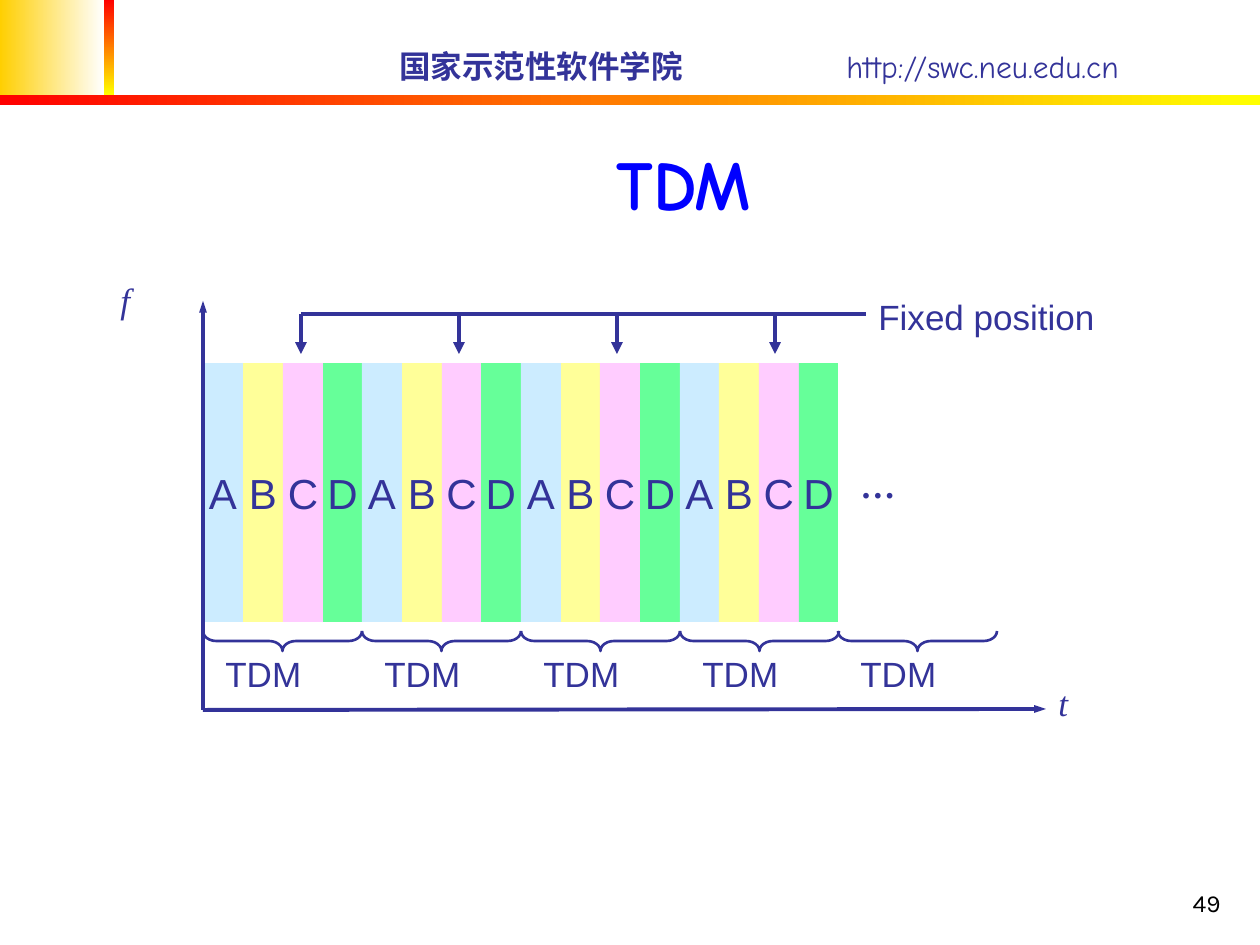
import math

import pptx
import pptx.dml.color
import pptx.enum.shapes
import pptx.enum.text
import pptx.oxml
import pptx.oxml.ns
import pptx.util

SHAPE = pptx.enum.shapes.MSO_SHAPE
ALIGN = pptx.enum.text.PP_ALIGN
ANCHOR = pptx.enum.text.MSO_ANCHOR

INK, TITLE_BLUE = "333399", "0000FF"
RED, YELLOW, GOLD, WHITE = "FF0000", "FFFF00", "FFCF01", "FFFFFF"
CHANNELS = {"A": "CCECFF", "B": "FFFF99", "C": "FFCCFF", "D": "66FF99"}
FRAMES = 4
SLOTS = FRAMES * len(CHANNELS)
GRID_LEFT, GRID_TOP, GRID_WIDTH, GRID_HEIGHT = 203, 363, 635, 259
AXIS_Y = 710


def px(n):
    return pptx.util.Emu(round(n * 914400 / 126))


def rgb(color):
    return pptx.dml.color.RGBColor.from_string(color)


def slot_x(i):
    """Left edge of time slot i."""
    return GRID_LEFT + math.ceil(GRID_WIDTH * i / SLOTS)


class Canvas:
    """The current slide and its drawing style."""

    def __init__(self, slide):
        self.slide = slide
        self.shapes = slide.shapes

    def style(self, p, size, font="Arial", color=INK, bold=False, italic=False):
        p.font.size = pptx.util.Pt(size)
        p.font.name = font
        p.font.bold = bold
        p.font.italic = italic
        p.font.color.rgb = rgb(color)

    def shape(self, kind, x, y, w, h):
        sp = self.shapes.add_shape(kind, px(x), px(y), px(w), px(h))
        sp.shadow.inherit = False
        sp.line.fill.background()
        return sp

    def gradient(self, x, y, w, h, start, end, angle=0):
        fill = self.shape(SHAPE.RECTANGLE, x, y, w, h).fill
        fill.gradient()
        fill.gradient_angle = angle
        for stop, color, position in zip(fill.gradient_stops, (start, end), (0, 1)):
            stop.color.rgb = rgb(color)
            stop.position = position

    def slot(self, x, w, letter):
        sp = self.shape(SHAPE.RECTANGLE, x, GRID_TOP, w, GRID_HEIGHT)
        sp.fill.solid()
        sp.fill.fore_color.rgb = rgb(CHANNELS[letter])
        tf = sp.text_frame
        tf.word_wrap = False
        tf.vertical_anchor = ANCHOR.MIDDLE
        p = tf.paragraphs[0]
        p.text = letter
        p.alignment = ALIGN.CENTER
        self.style(p, 24)

    def brace(self, x, y, w, h):
        """Brace under the given box: a left brace turned so its tip points down."""
        sp = self.shape(SHAPE.LEFT_BRACE, x + (w - h) / 2, y + (h - w) / 2, h, w)
        sp.rotation = 270
        sp.adjustments[0] = 0.67
        sp.fill.background()
        sp.line.color.rgb = rgb(INK)
        sp.line.width = pptx.util.Pt(1.5)

    def line(self, x1, y1, x2, y2, head=None):
        """Straight line; head is the width of its arrowhead (sm, med or lg)."""
        cx = self.shapes.add_connector(
            pptx.enum.shapes.MSO_CONNECTOR.STRAIGHT, px(x1), px(y1), px(x2), px(y2))
        cx.line.color.rgb = rgb(INK)
        cx.line.width = pptx.util.Pt(2.25)
        if head:
            ln = cx.line._get_or_add_ln()
            ln.append(pptx.oxml.parse_xml(
                f'<a:tailEnd {pptx.oxml.ns.nsdecls("a")} type="triangle" w="{head}"/>'))
        cx._element.spPr.append(pptx.oxml.parse_xml(
            f'<a:effectLst {pptx.oxml.ns.nsdecls("a")}/>'))

    def text(self, x, y, w, h, text, size, anchor=ANCHOR.TOP, align=ALIGN.LEFT,
             spacing=None, **style):
        tf = self.shapes.add_textbox(px(x), px(y), px(w), px(h)).text_frame
        tf.word_wrap = True
        tf.vertical_anchor = anchor
        p = tf.paragraphs[0]
        p.text = text
        p.alignment = align
        p.line_spacing = spacing
        self.style(p, size, **style)

    def title(self, x, y, w, h, text):
        sp = self.shapes.title
        sp.left, sp.top, sp.width, sp.height = px(x), px(y), px(w), px(h)
        tf = sp.text_frame
        tf.auto_size = pptx.enum.text.MSO_AUTO_SIZE.NONE
        tf.vertical_anchor = ANCHOR.BOTTOM
        p = tf.paragraphs[0]
        p.text = text
        p.alignment = ALIGN.CENTER
        self.style(p, 40, "Comic Neue", TITLE_BLUE, bold=True)


def draw_header(canvas):
    canvas.gradient(0, 0, 104, 95, GOLD, WHITE)
    canvas.gradient(104, 0, 10, 95, RED, YELLOW, angle=270)
    canvas.gradient(0, 95, 1260, 10, RED, YELLOW)
    canvas.text(387, 41, 400, 50, "国家示范性软件学院", 18, ANCHOR.MIDDLE,
                font="Comic Neue", bold=True)
    canvas.text(834, 41, 397, 50, "http://swc.neu.edu.cn", 18, ANCHOR.MIDDLE,
                font="Comic Neue")
    canvas.text(971, 861, 262, 63, "49", 14, ANCHOR.BOTTOM, ALIGN.RIGHT,
                font="Karla", color="000000")
    canvas.title(147, 135, 1074, 96, "TDM")


def slot_order():
    """Frame and letter of each slot, from back to front."""
    last = FRAMES - 1
    order = [(frame, letter) for frame in range(last) for letter in "BD"]
    for letter, closing in ("AB", "CD"):
        order += [(frame, letter) for frame in range(FRAMES)]
        order.append((last, closing))
    return order


def draw_slots(canvas):
    for frame, letter in slot_order():
        i = frame * len(CHANNELS) + list(CHANNELS).index(letter)
        canvas.slot(slot_x(i), slot_x(i + 1) - slot_x(i), letter)
    canvas.text(848, 457, 62, 54, "…", 20, font="Times New Roman", bold=True)
    for frame in range(FRAMES + 1):
        x = slot_x(frame * len(CHANNELS))
        canvas.text(x + 10, 651, 112, 50, "TDM", 20, spacing=0.9)
        canvas.brace(x, 631, math.ceil(GRID_WIDTH / FRAMES), 20)


def draw_axes(canvas):
    canvas.line(GRID_LEFT, AXIS_Y, 1046, AXIS_Y - 1, head="sm")
    canvas.line(GRID_LEFT, AXIS_Y, GRID_LEFT, 301, head="sm")
    for x, y, name in ((108, 277, "f"), (1046, 680, "t")):
        canvas.text(x, y, 36, 50, name, 20, spacing=0.9,
                    font="Times New Roman", italic=True)


def draw_fixed_position(canvas):
    first, pitch, bar_y = 301, 158, 314
    canvas.text(866, 294, 250, 50, "Fixed position", 20, spacing=0.9)
    canvas.line(first, bar_y, 866, bar_y)
    for frame in range(FRAMES):
        x = first + pitch * frame
        canvas.line(x, bar_y, x, 354, head="med")


def main():
    prs = pptx.Presentation()
    prs.slide_width, prs.slide_height = px(1260), px(945)
    canvas = Canvas(prs.slides.add_slide(prs.slide_layouts[5]))
    draw_header(canvas)
    draw_slots(canvas)
    draw_axes(canvas)
    draw_fixed_position(canvas)
    prs.save("out.pptx")


if __name__ == "__main__":
    main()
